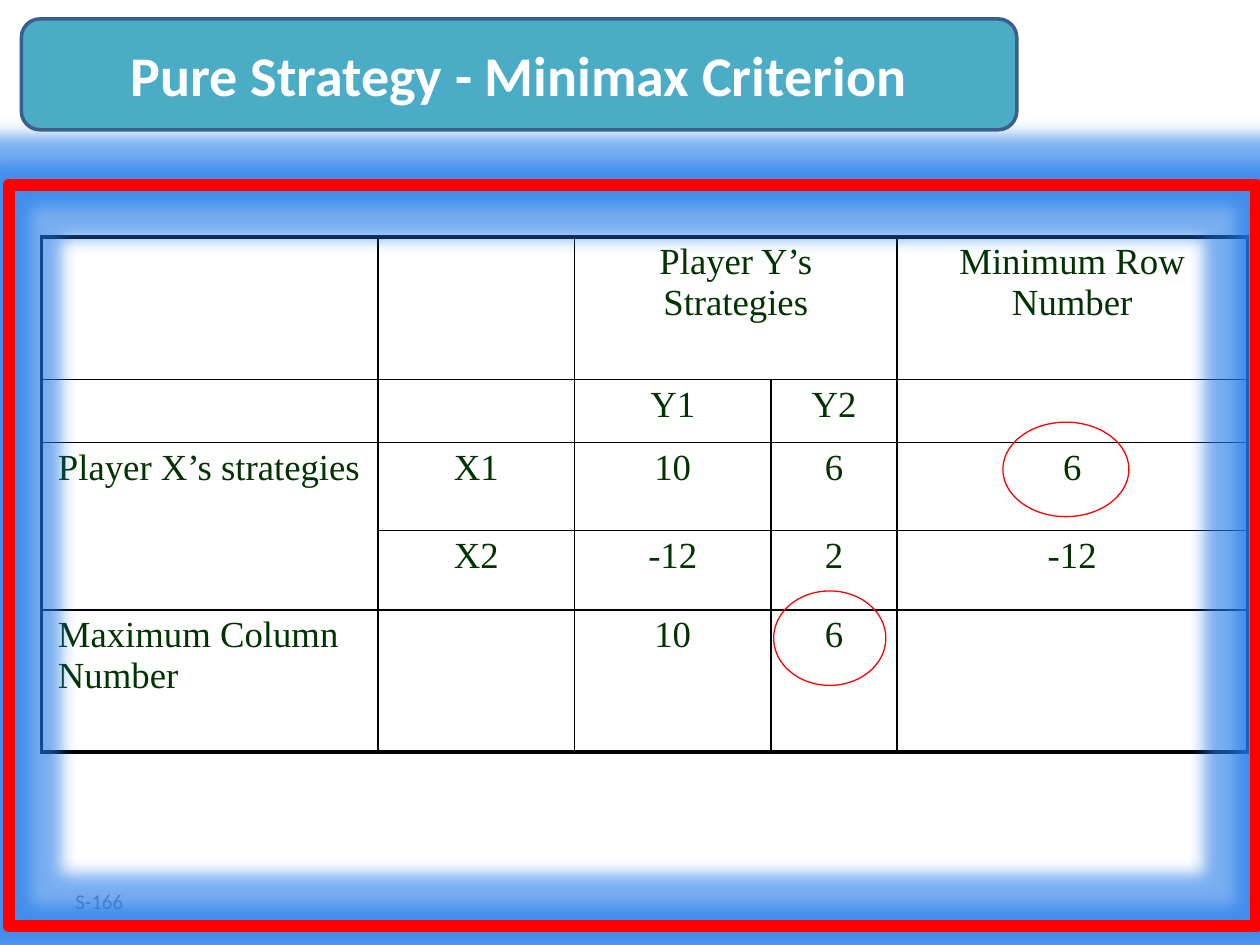
from dataclasses import dataclass
from typing import Optional

from lxml import etree
from pptx import Presentation
from pptx.dml.color import RGBColor
from pptx.enum.shapes import MSO_SHAPE as Preset
from pptx.enum.text import MSO_ANCHOR as Anchor, PP_ALIGN as Align
from pptx.oxml.ns import qn
from pptx.util import Emu, Inches, Pt

WIDTH, HEIGHT = Inches(10), Inches(7.5)
WHITE = RGBColor(0xFF, 0xFF, 0xFF)
BLACK = RGBColor(0x00, 0x00, 0x00)
RED = RGBColor(0xFF, 0x00, 0x00)
TEAL = RGBColor(0x4B, 0xAC, 0xC6)
NAVY = RGBColor(0x3A, 0x5F, 0x8C)
GLOW_BLUE = RGBColor(0x1F, 0x78, 0xE8)
DARK_GREEN = RGBColor(0x00, 0x33, 0x00)
GRAY = RGBColor(0x8C, 0x8C, 0x8C)

COLUMN_SHARES = (26.7, 15.6, 15.6, 10, 27.8)
ROW_SHARES = (15.07, 6.67, 9.33, 8.4, 15.07)
PAYOFFS = (
    ("", "", "Player Y’s Strategies", "", "Minimum Row Number"),
    ("", "", "Y1", "Y2", ""),
    ("Player X’s strategies", "X1", "10", "6", "6"),
    ("", "X2", "-12", "2", "-12"),
    ("Maximum Column Number", "", "10", "6", ""),
)
MERGES = (((0, 2), (0, 3)), ((2, 0), (3, 0)))


def across(share: float) -> Emu:
    return Emu(round(WIDTH * share / 100))


def down(share: float) -> Emu:
    return Emu(round(HEIGHT * share / 100))


@dataclass(frozen=True)
class Area:
    """A rectangle in percent of the slide's width and height."""
    left: float
    top: float
    width: float
    height: float

    def lengths(self) -> tuple:
        return across(self.left), down(self.top), across(self.width), down(self.height)


@dataclass(frozen=True)
class TextStyle:
    font: str
    size: float
    color: RGBColor
    bold: bool = False


@dataclass(frozen=True)
class Outline:
    preset: Preset
    area: Area
    color: RGBColor
    weight: float
    fill: Optional[RGBColor] = None


TITLE_STYLE = TextStyle("Calibri", 32, WHITE, True)
NUMBER_STYLE = TextStyle("Calibri", 12, GRAY)
CELL_STYLE = TextStyle("Times New Roman", 21, DARK_GREEN)

TABLE_AREA = Area(3.3, 25.07, sum(COLUMN_SHARES), sum(ROW_SHARES))
NUMBER_AREA = Area(5, 92.67, 23.3, 5.33)
RINGS = (
    Outline(Preset.OVAL, Area(61.4, 62.53, 8.9, 10), RED, 0.75),
    Outline(Preset.OVAL, Area(79.6, 44.67, 10, 10), RED, 0.75),
)
FRAME = Outline(Preset.RECTANGLE, Area(0.7, 19.6, 99, 78.4), RED, 7)
BANNER = Outline(Preset.ROUNDED_RECTANGLE, Area(1.7, 2, 79, 11.73), NAVY, 2, TEAL)


def write(frame, text: str, style: TextStyle, align: Align) -> None:
    frame.text = text
    para = frame.paragraphs[0]
    para.alignment = align
    for span in para.runs:
        span.font.name = style.font
        span.font.size = Pt(style.size)
        span.font.bold = style.bold
        span.font.color.rgb = style.color


def add_color(parent, color: RGBColor):
    return etree.SubElement(parent, qn("a:srgbClr"), val=str(color))


def set_borders(cell, row: int, column: int) -> None:
    """Draw thin inner lines and a heavier line on the table's rim."""
    on_rim = {
        "a:lnL": column == 0,
        "a:lnR": column == len(COLUMN_SHARES) - 1,
        "a:lnT": row == 0,
        "a:lnB": row == len(ROW_SHARES) - 1,
    }
    properties = cell._tc.get_or_add_tcPr()
    for index, (tag, heavy) in enumerate(on_rim.items()):
        line = etree.Element(qn(tag), w=str(Pt(2.25 if heavy else 1)))
        add_color(etree.SubElement(line, qn("a:solidFill")), BLACK)
        properties.insert(index, line)


def add_payoff_table(page) -> None:
    table = page.shapes.add_table(
        len(ROW_SHARES), len(COLUMN_SHARES), *TABLE_AREA.lengths()).table
    table.first_row = table.horz_banding = False
    for column, share in zip(table.columns, COLUMN_SHARES):
        column.width = across(share)
    for row, share in zip(table.rows, ROW_SHARES):
        row.height = down(share)
    for start, end in MERGES:
        table.cell(*start).merge(table.cell(*end))
    for i, texts in enumerate(PAYOFFS):
        for j, text in enumerate(texts):
            cell = table.cell(i, j)
            cell.fill.background()
            set_borders(cell, i, j)
            cell.margin_left = cell.margin_right = Inches(0.13)
            cell.margin_top = cell.margin_bottom = Inches(0.04)
            if text:
                write(cell.text_frame, text, CELL_STYLE, Align.CENTER if j else Align.LEFT)


def add_outline(page, outline: Outline):
    shape = page.shapes.add_shape(outline.preset, *outline.area.lengths())
    shape.shadow.inherit = False
    if outline.fill is None:
        shape.fill.background()
    else:
        shape.fill.solid()
        shape.fill.fore_color.rgb = outline.fill
    shape.line.color.rgb = outline.color
    shape.line.width = Pt(outline.weight)
    return shape


def add_glow(shape, color: RGBColor, radius: float, opacity: int) -> None:
    effects = shape._element.spPr.find(qn("a:effectLst"))
    glow = etree.SubElement(effects, qn("a:glow"), rad=str(Pt(radius)))
    etree.SubElement(add_color(glow, color), qn("a:alpha"), val=str(opacity * 1000))


def add_slide_number(page) -> None:
    box = page.shapes.add_textbox(*NUMBER_AREA.lengths())
    box.text_frame.word_wrap = True
    box.text_frame.vertical_anchor = Anchor.MIDDLE
    write(box.text_frame, "S-166", NUMBER_STYLE, Align.LEFT)


def main() -> None:
    deck = Presentation()
    deck.slide_width, deck.slide_height = WIDTH, HEIGHT
    page = deck.slides.add_slide(deck.slide_layouts[6])
    add_slide_number(page)
    add_payoff_table(page)
    for ring in RINGS:
        add_outline(page, ring)
    add_glow(add_outline(page, FRAME), GLOW_BLUE, 18, 60)
    banner = add_outline(page, BANNER)
    banner.text_frame.vertical_anchor = Anchor.MIDDLE
    write(banner.text_frame, "Pure Strategy - Minimax Criterion", TITLE_STYLE, Align.CENTER)
    deck.save("out.pptx")


if __name__ == "__main__":
    main()
